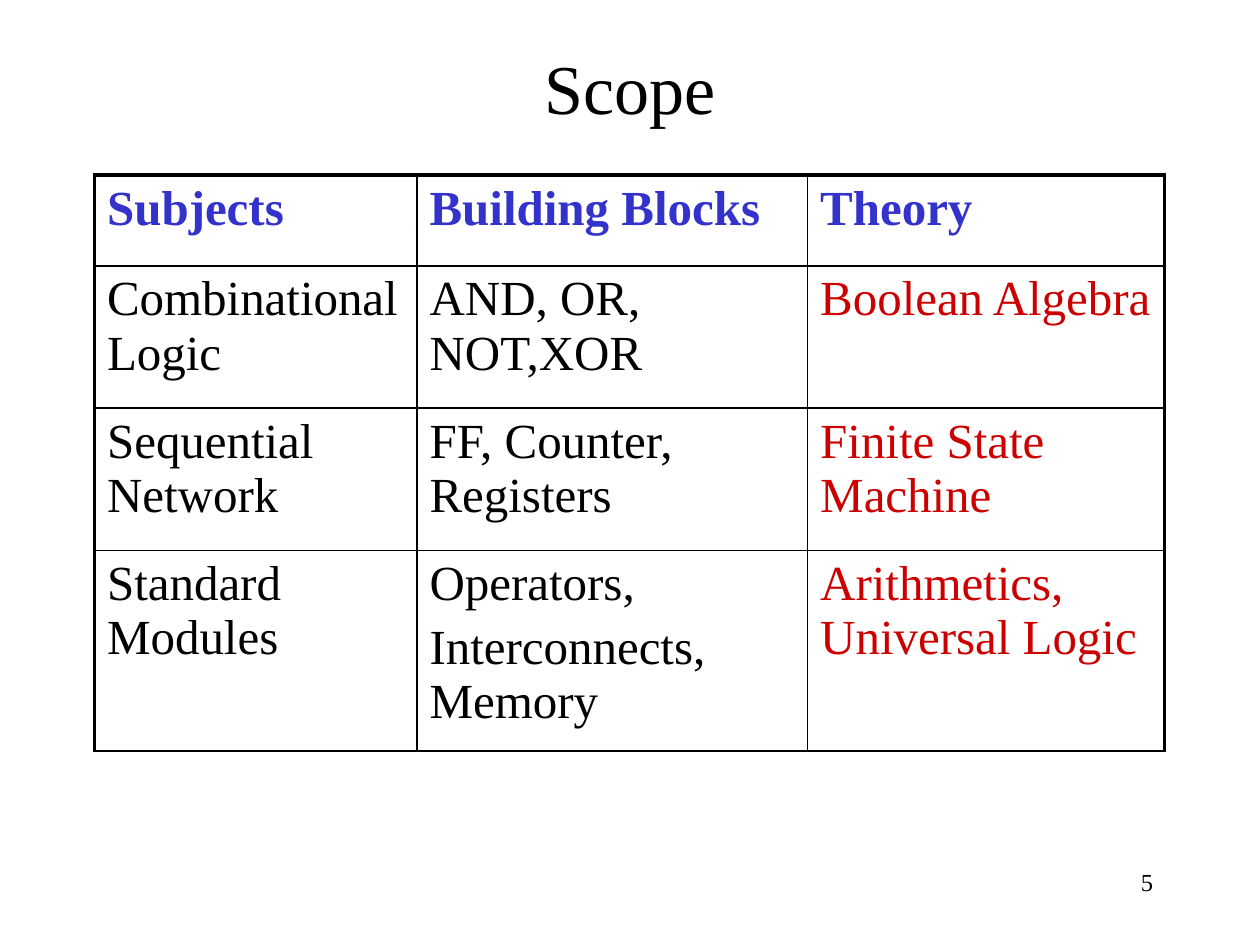
from dataclasses import dataclass

from lxml.etree import SubElement
from pptx import Presentation
from pptx.dml.color import RGBColor
from pptx.enum.text import MSO_ANCHOR, PP_ALIGN
from pptx.oxml.ns import qn
from pptx.util import Inches, Pt

FONT = "Times New Roman"
BLACK, BLUE, RED = "000000", "3333CC", "CC0000"
THIN, THICK = 1, 2.25
COLUMN_WIDTHS = [2.56, 3.1, 2.83]


@dataclass
class TableRow:
    height: float
    texts: list[str]
    colors: tuple[str, str, str] = (BLACK, BLACK, RED)
    bold: bool = False


ROWS = [
    TableRow(0.72, ["Subjects", "Building Blocks", "Theory"], (BLUE,) * 3, True),
    TableRow(1.13, ["Combinational Logic", "AND, OR, NOT,XOR", "Boolean Algebra"]),
    TableRow(1.13, ["Sequential Network", "FF, Counter, Registers", "Finite State Machine"]),
    TableRow(1.59, ["Standard Modules", "Operators,\nInterconnects, Memory",
                    "Arithmetics, Universal Logic"]),
]


def rgb(color: str) -> RGBColor:
    return RGBColor.from_string(color)


def write_text(frame, text: str, *, size: float, color: str = BLACK, bold: bool = False,
               align=PP_ALIGN.LEFT, anchor=MSO_ANCHOR.TOP) -> None:
    """Fill a text frame or table cell, one paragraph per line."""
    frame.vertical_anchor = anchor
    frame.word_wrap = True
    for index, line in enumerate(text.split("\n")):
        paragraph = frame.paragraphs[0] if index == 0 else frame.add_paragraph()
        paragraph.alignment = align
        if index:
            paragraph.space_before = Pt(size * 0.2)
        run = paragraph.add_run()
        run.text = line
        run.font.name = FONT
        run.font.size = Pt(size)
        run.font.bold = bold
        run.font.color.rgb = rgb(color)


def add_text(slide, left: float, top: float, width: float, height: float,
             text: str, **text_format) -> None:
    shape = slide.shapes.add_textbox(Inches(left), Inches(top), Inches(width), Inches(height))
    write_text(shape.text_frame, text, **text_format)


def set_borders(cell, left: float, right: float, top: float, bottom: float) -> None:
    properties = cell._tc.get_or_add_tcPr()
    for side, width in zip("LRTB", (left, right, top, bottom)):
        line = SubElement(properties, qn(f"a:ln{side}"), w=str(int(Pt(width))))
        fill = SubElement(line, qn("a:solidFill"))
        SubElement(fill, qn("a:srgbClr"), val=BLACK)


def add_scope_table(slide, left: float, top: float) -> None:
    width, height = sum(COLUMN_WIDTHS), sum(row.height for row in ROWS)
    table = slide.shapes.add_table(len(ROWS), len(COLUMN_WIDTHS), Inches(left), Inches(top),
                                   Inches(width), Inches(height)).table
    table.first_row = table.horz_banding = False
    for column, column_width in zip(table.columns, COLUMN_WIDTHS):
        column.width = Inches(column_width)
    last_column = len(COLUMN_WIDTHS) - 1
    for row_index, row in enumerate(ROWS):
        table.rows[row_index].height = Inches(row.height)
        for column_index, (text, color) in enumerate(zip(row.texts, row.colors)):
            cell = table.cell(row_index, column_index)
            # Thick outer edge on the left, right and top
            set_borders(cell,
                        left=THICK if column_index == 0 else THIN,
                        right=THICK if column_index == last_column else THIN,
                        top=THICK if row_index == 0 else THIN,
                        bottom=THIN)
            cell.fill.background()
            write_cell(cell, text, color, row.bold)


def write_cell(cell, text: str, color: str, bold: bool) -> None:
    cell.margin_left = cell.margin_right = Inches(0.1)
    cell.margin_top = cell.margin_bottom = Inches(0.05)
    write_text(cell.text_frame, text, size=28, color=color, bold=bold)


def main() -> None:
    presentation = Presentation()
    presentation.slide_width, presentation.slide_height = Inches(10), Inches(7.5)
    slide = presentation.slides.add_slide(presentation.slide_layouts[6])
    slide.background.fill.solid()
    slide.background.fill.fore_color.rgb = rgb("FFFFFF")

    # Slide number, title and table
    add_text(slide, 7.17, 6.83, 2.08, 0.5, "5", size=14, align=PP_ALIGN.RIGHT)
    add_text(slide, 0.75, 0.33, 8.5, 0.72, "Scope", size=40,
             align=PP_ALIGN.CENTER, anchor=MSO_ANCHOR.MIDDLE)
    add_scope_table(slide, 0.75, 1.39)

    presentation.save("out.pptx")


if __name__ == "__main__":
    main()
